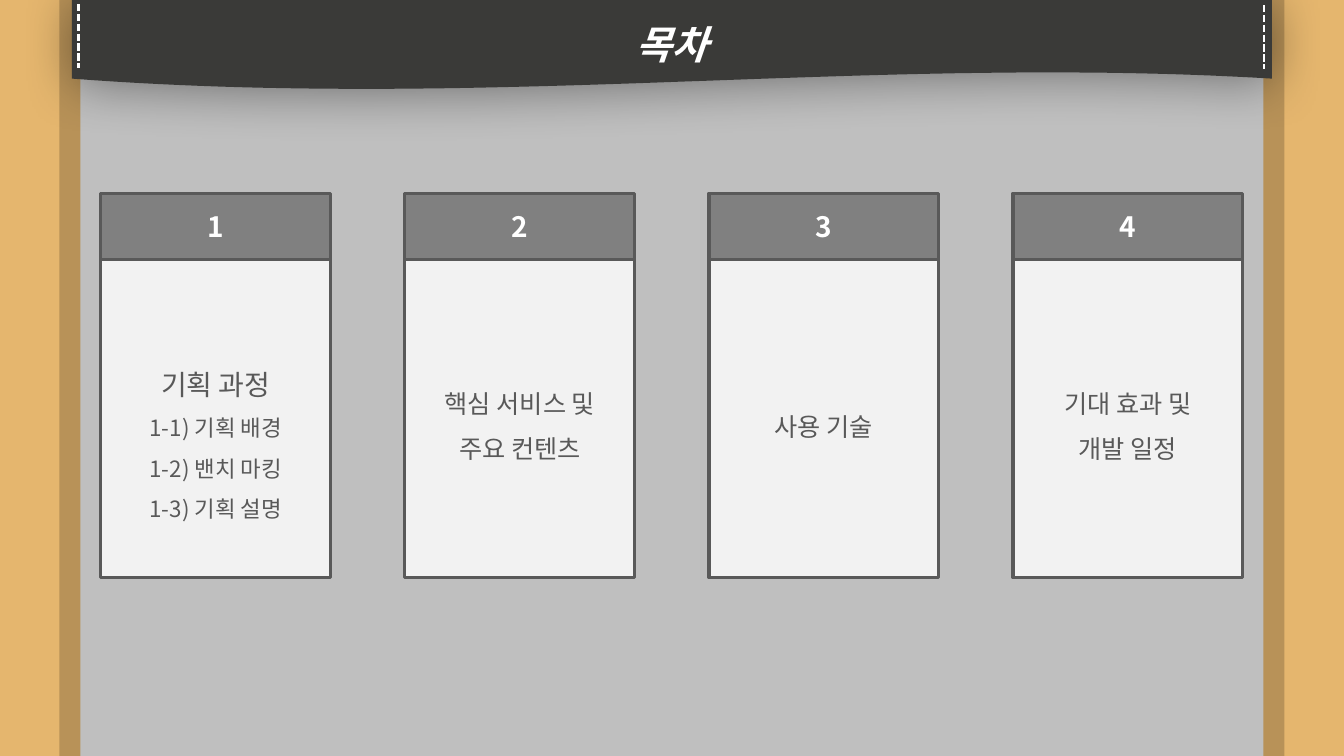
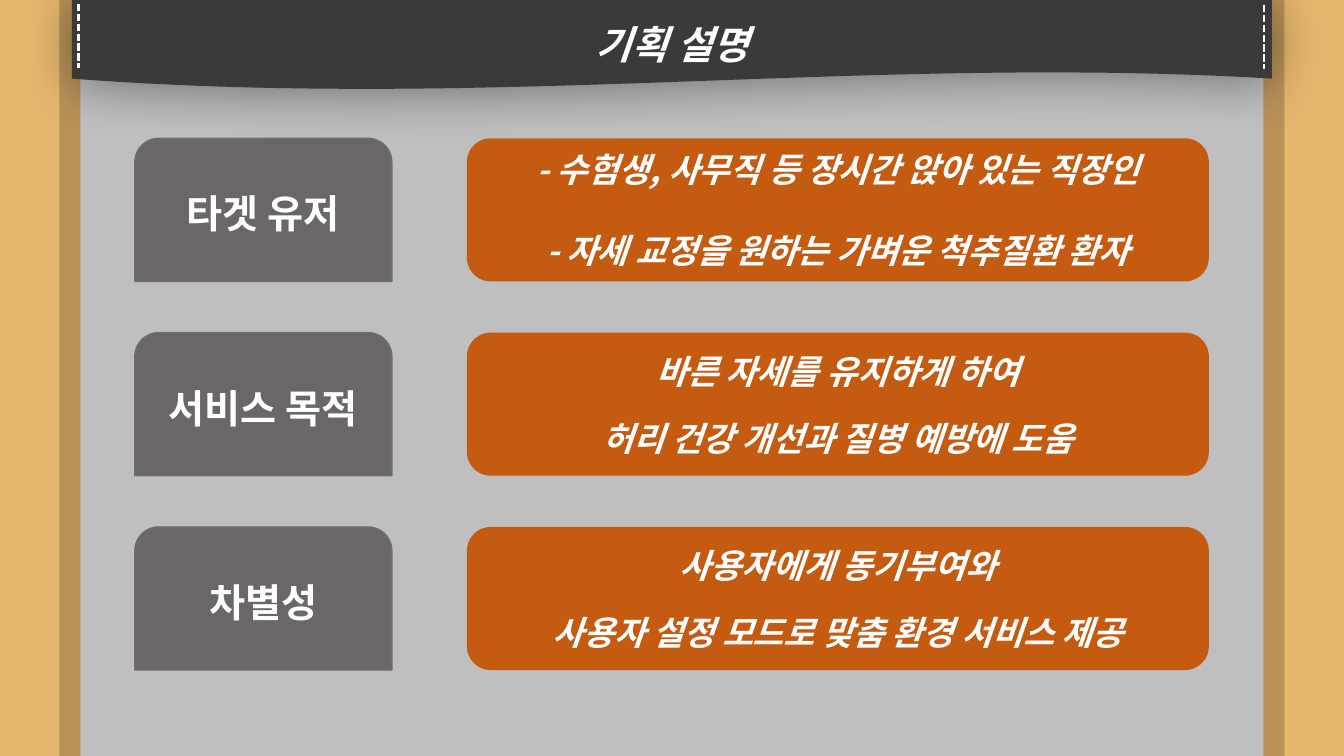
from dataclasses import dataclass

import pptx
import pptx.dml.color
import pptx.enum.dml
import pptx.enum.shapes
import pptx.enum.text
import pptx.oxml.ns
import pptx.util
from lxml import etree

Pt = pptx.util.Pt
MSO_SHAPE = pptx.enum.shapes.MSO_SHAPE
qn = pptx.oxml.ns.qn


@dataclass(frozen=True)
class Theme:
    font: str = "Noto Sans CJK KR"
    page: str = "BFBFBF"
    side: str = "E5B66E"
    side_shadow: str = "B89258"
    banner: str = "3A3A38"
    black: str = "000000"
    white: str = "FFFFFF"
    card_head: str = "808080"
    card_body: str = "F2F2F2"
    card_ink: str = "595959"
    label: str = "6B6767"
    label_line: str = "726C6C"
    statement: str = "C55A11"
    heading_size: float = 28
    statement_size: float = 24
    number_size: float = 20
    body_size: float = 18
    detail_size: float = 16


THEME = Theme()
WIDTH, HEIGHT = 960, 540
SIDE_WIDTH = 42.5
BANNER_LEFT, BANNER_EDGE, BANNER_HEIGHT = 51.4, 56.2, 63.2


def rgb(value):
    return pptx.dml.color.RGBColor.from_string(value)


def set_values(target, values):
    for name, value in values.items():
        setattr(target, name, value)


def paint(shape, fill, line=None, line_width=1):
    shape.shadow.inherit = False
    shape.fill.solid()
    shape.fill.fore_color.rgb = rgb(fill)
    if line:
        shape.line.color.rgb = rgb(line)
        shape.line.width = Pt(line_width)
    else:
        shape.line.fill.background()


def cast_shadow(shape, color, opacity, blur, distance, angle):
    effects = shape._element.spPr.find(qn("a:effectLst"))
    shadow = etree.SubElement(
        effects, qn("a:outerShdw"), blurRad=str(Pt(blur)), dist=str(Pt(distance)),
        dir=str(angle * 60000), algn="ctr", rotWithShape="0")
    tint = etree.SubElement(shadow, qn("a:srgbClr"), val=color)
    etree.SubElement(tint, qn("a:alpha"), val=str(opacity * 1000))


def write(shape, lines, size, color=THEME.white, paragraph_format=None, frame_format=None, **font_format):
    """Fill a shape with centred lines; a line is text or a (text, size, space before) tuple."""
    frame = shape.text_frame
    set_values(frame, {
        "word_wrap": True,
        "auto_size": pptx.enum.text.MSO_AUTO_SIZE.NONE,
        "vertical_anchor": pptx.enum.text.MSO_ANCHOR.MIDDLE,
        **(frame_format or {}),
    })
    for index, line in enumerate(lines):
        text, line_size, space = (line, size, 0) if isinstance(line, str) else line
        paragraph = frame.add_paragraph() if index else frame.paragraphs[0]
        set_values(paragraph, {
            "alignment": pptx.enum.text.PP_ALIGN.CENTER,
            "space_before": Pt(space),
            **(paragraph_format or {}),
        })
        run = paragraph.add_run()
        run.text = text
        set_values(run.font, {"name": THEME.font, "size": Pt(line_size), **font_format})
        run.font.color.rgb = rgb(color)
        etree.SubElement(run._r.get_or_add_rPr(), qn("a:ea"), typeface=THEME.font)


def add_box(slide, kind, left, top, width, height, *colors):
    shape = slide.shapes.add_shape(kind, Pt(left), Pt(top), Pt(width), Pt(height))
    paint(shape, *colors)
    return shape


def add_side_panels(slide):
    for left, angle in ((WIDTH - SIDE_WIDTH, 180), (0, 0)):
        panel = add_box(slide, MSO_SHAPE.RECTANGLE, left, 0, SIDE_WIDTH, HEIGHT, THEME.side)
        cast_shadow(panel, THEME.side_shadow, 100, 0, 15, angle)


def bezier_points(points, steps=60):
    """Points along a cubic curve given by its ends and two controls."""
    for step in range(steps + 1):
        t = step / steps
        weights = ((1 - t) ** 3, 3 * t * (1 - t) ** 2, 3 * t ** 2 * (1 - t), t ** 3)
        yield tuple(Pt(sum(weight * point[axis] for weight, point in zip(weights, points)))
                    for axis in (0, 1))


def add_banner(slide):
    right = WIDTH - BANNER_LEFT
    wave = bezier_points(((right, BANNER_EDGE), (622.8, 38.9), (356.4, 79.2), (BANNER_LEFT, BANNER_EDGE)))
    builder = slide.shapes.build_freeform(Pt(BANNER_LEFT), 0)
    builder.add_line_segments([(Pt(right), 0), *wave], close=True)
    banner = builder.convert_to_shape()
    paint(banner, THEME.banner)
    cast_shadow(banner, THEME.black, 40, 37, 3, 90)


def add_stitch(slide, x, top):
    stitch = slide.shapes.add_connector(
        pptx.enum.shapes.MSO_CONNECTOR.STRAIGHT, Pt(x), Pt(top), Pt(x), Pt(top + 45.4))
    set_values(stitch.line, {
        "width": Pt(1.75),
        "dash_style": pptx.enum.dml.MSO_LINE.SQUARE_DOT,
    })
    stitch.line.color.rgb = rgb(THEME.white)
    etree.SubElement(stitch._element.spPr, qn("a:effectLst"))


def add_slide(presentation, heading):
    slide = presentation.slides.add_slide(presentation.slide_layouts[5])
    add_side_panels(slide)
    add_banner(slide)
    add_stitch(slide, 56.2, 2.9)
    add_stitch(slide, 902.9, 3.6)
    title = slide.shapes.title
    set_values(title, {
        "left": Pt(BANNER_LEFT), "top": 0,
        "width": Pt(WIDTH - 2 * BANNER_LEFT), "height": Pt(BANNER_HEIGHT),
    })
    write(title, [heading], THEME.heading_size, bold=True, italic=True)
    slide.shapes._spTree.append(title._element)
    return slide


def add_card(slide, index, lines, top_inset=3.6):
    left, width = 72 + 217.2 * index, 164.2
    head = add_box(slide, MSO_SHAPE.RECTANGLE, left, 138, width, 47.2,
                   THEME.card_head, THEME.card_ink, 2.25)
    write(head, [str(index + 1)], THEME.number_size, bold=True)
    body = add_box(slide, MSO_SHAPE.RECTANGLE, left, 185.2, width, 227.5,
                   THEME.card_body, THEME.card_ink, 2.25)
    write(body, lines, THEME.body_size, THEME.card_ink,
          paragraph_format={"line_spacing": 1.5},
          frame_format={"margin_left": Pt(20), "margin_right": Pt(20), "margin_top": Pt(top_inset)})


def add_topic_row(slide, index, name, first, second, gap):
    top, height = 98.8 + 138.8 * index, 102.2
    label = add_box(slide, MSO_SHAPE.ROUND_2_SAME_RECTANGLE, 96.3, top, 183.6, height,
                    THEME.label, THEME.label_line)
    write(label, [name], THEME.heading_size, bold=True)
    statement = add_box(slide, MSO_SHAPE.ROUNDED_RECTANGLE, 333.5, top, 530, height, THEME.statement)
    write(statement, [first, (second, THEME.statement_size, gap)], THEME.statement_size,
          bold=True, italic=True)


def build_contents(presentation):
    slide = add_slide(presentation, "목차")
    process = [("기획 과정", THEME.number_size, 0)]
    process += [(text, THEME.detail_size, 0)
                for text in ("1-1) 기획 배경", "1-2) 밴치 마킹", "1-3) 기획 설명")]
    add_card(slide, 0, process, top_inset=29)
    for index, text in enumerate(("핵심 서비스 및 주요 컨텐츠", "사용 기술", "기대 효과 및 개발 일정"), 1):
        add_card(slide, index, [text])


def build_plan(presentation):
    slide = add_slide(presentation, "기획 설명")
    topics = (
        ("타겟 유저", "- 수험생, 사무직 등 장시간 앉아 있는 직장인",
         "- 자세 교정을 원하는 가벼운 척추질환 환자", 29),
        ("서비스 목적", "바른 자세를 유지하게 하여", "허리 건강 개선과 질병 예방에 도움", 19),
        ("차별성", "사용자에게 동기부여와", "사용자 설정 모드로 맞춤 환경 서비스 제공", 19),
    )
    for index, topic in enumerate(topics):
        add_topic_row(slide, index, *topic)


def main():
    presentation = pptx.Presentation()
    set_values(presentation, {"slide_width": Pt(WIDTH), "slide_height": Pt(HEIGHT)})
    background = presentation.slide_master.background.fill
    background.solid()
    background.fore_color.rgb = rgb(THEME.page)
    build_contents(presentation)
    build_plan(presentation)
    presentation.save("out.pptx")


if __name__ == "__main__":
    main()
